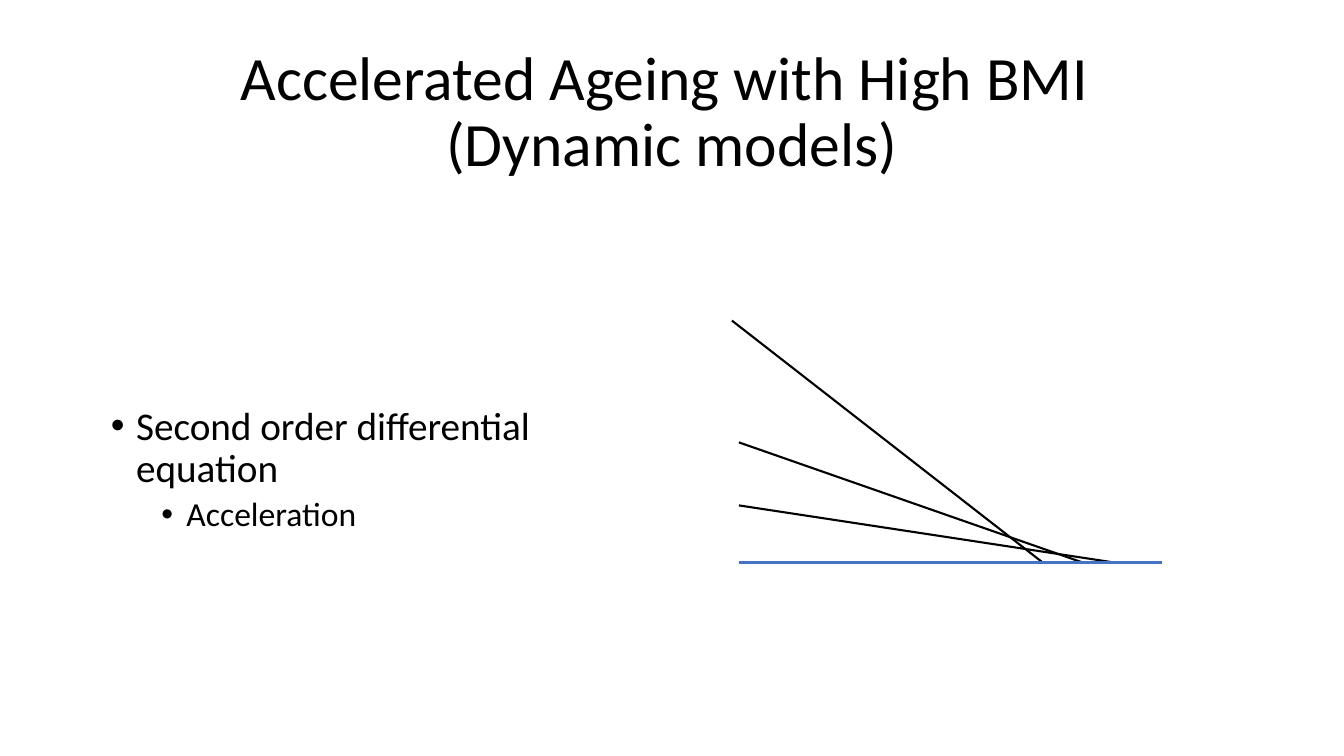
from lxml import etree
from pptx import Presentation
from pptx.dml.color import RGBColor
from pptx.enum import shapes, text
from pptx.oxml import ns
from pptx.util import Pt

BLACK, BLUE = "000000", "4472C4"


def colour(hex_string):
    return RGBColor.from_string(hex_string)


def write(paragraph, words, *, size, before=0, align=None, level=0, bullet_at=None):
    """Fill a paragraph; bullet_at is the bullet's distance from the left inset."""
    paragraph.text = words
    paragraph.level = level
    paragraph.alignment = align
    paragraph.line_spacing = 0.9
    paragraph.space_before = Pt(before)
    for run in paragraph.runs:
        run.font.name = "Calibri"
        run.font.size = Pt(size)
        run.font.color.rgb = colour(BLACK)
    if bullet_at is not None:
        properties = paragraph._p.get_or_add_pPr()
        properties.set("marL", str(Pt(bullet_at + 18)))
        properties.set("indent", str(Pt(-18)))
        etree.SubElement(properties, ns.qn("a:buChar")).set("char", "•")


def place(placeholder, box, anchor):
    placeholder.left, placeholder.top, placeholder.width, placeholder.height = map(Pt, box)
    frame = placeholder.text_frame
    frame.word_wrap = True
    frame.auto_size = text.MSO_AUTO_SIZE.NONE
    frame.vertical_anchor = anchor
    return frame


def fill_heading(slide, box):
    frame = place(slide.shapes.title, box, text.MSO_ANCHOR.MIDDLE)
    write(frame.paragraphs[0], "Accelerated Ageing with High BMI \v(Dynamic models)",
          size=44, align=text.PP_ALIGN.CENTER)


def fill_equation_list(slide, box):
    frame = place(slide.placeholders[1], box, text.MSO_ANCHOR.TOP)
    write(frame.paragraphs[0], "Second order differential equation",
          size=28, before=10, bullet_at=0)
    write(frame.add_paragraph(), "Acceleration",
          size=24, before=5, level=1, bullet_at=36)


def draw_line(slide, start, end, line_colour):
    line = slide.shapes.add_connector(
        shapes.MSO_CONNECTOR.STRAIGHT, *map(Pt, (*start, *end)))
    line.line.color.rgb = colour(line_colour)
    line.line.width = Pt(1.5)
    etree.SubElement(line._element.spPr, ns.qn("a:effectLst"))


def draw_ageing_diagram(slide, box):
    """Draw declines that all end on the time axis at the foot of the box."""
    left, top, width, height = box
    foot = top + height
    declines = [((5, 87), 250.5), ((5, 132), 273), ((0, 0), 222)]
    for (start_x, start_y), end_x in declines:
        draw_line(slide, (left + start_x, top + start_y), (left + end_x, foot), BLACK)
    draw_line(slide, (left + 5, foot), (left + width, foot), BLUE)


def main():
    deck = Presentation()
    deck.slide_width, deck.slide_height = Pt(960), Pt(540)
    slide = deck.slides.add_slide(deck.slide_layouts[1])
    fill_heading(slide, (66, 28.8, 828, 104.4))
    fill_equation_list(slide, (72, 286.5, 408, 115))
    draw_ageing_diagram(slide, (522.8, 229, 307.4, 172.8))
    deck.save("out.pptx")


if __name__ == "__main__":
    main()
